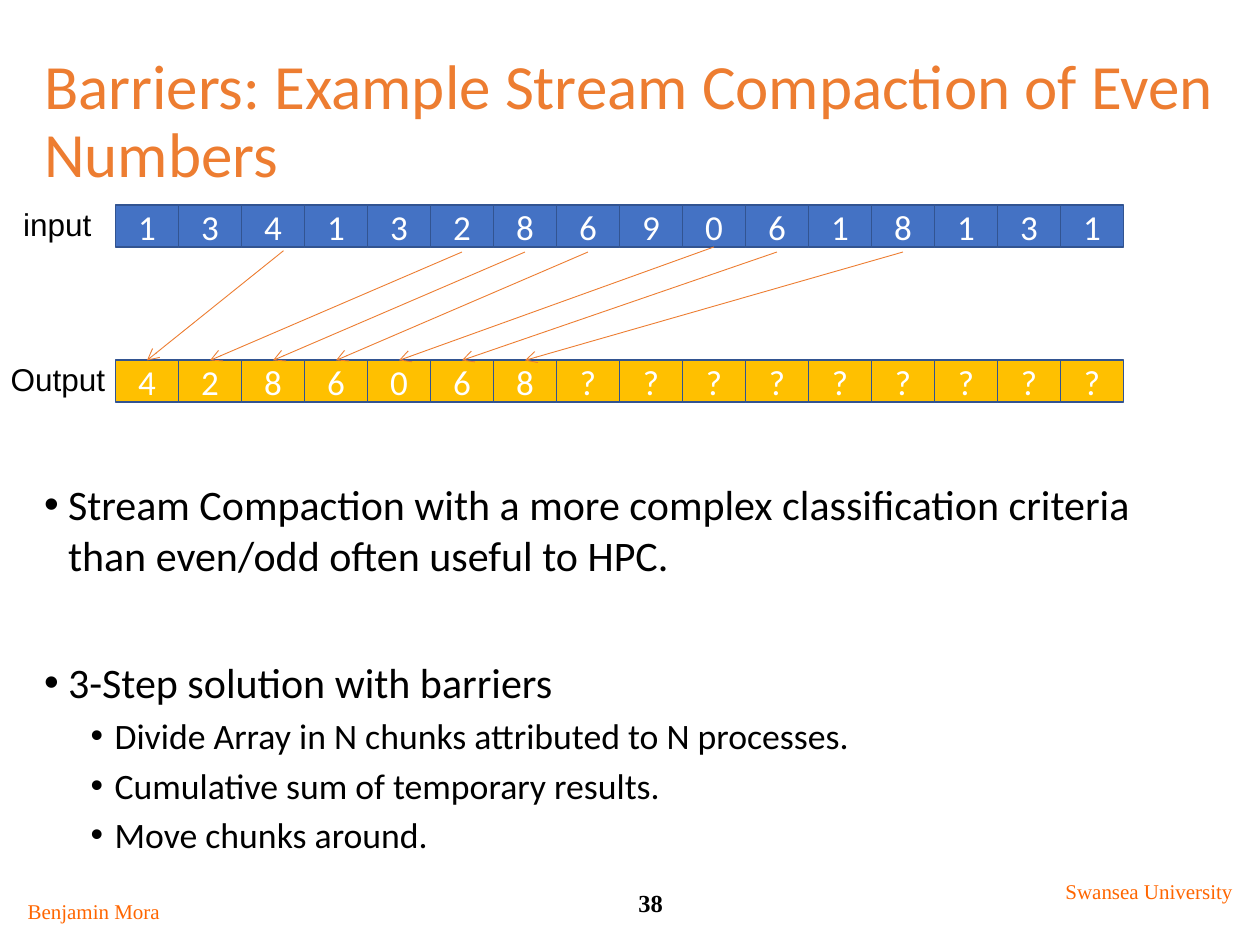
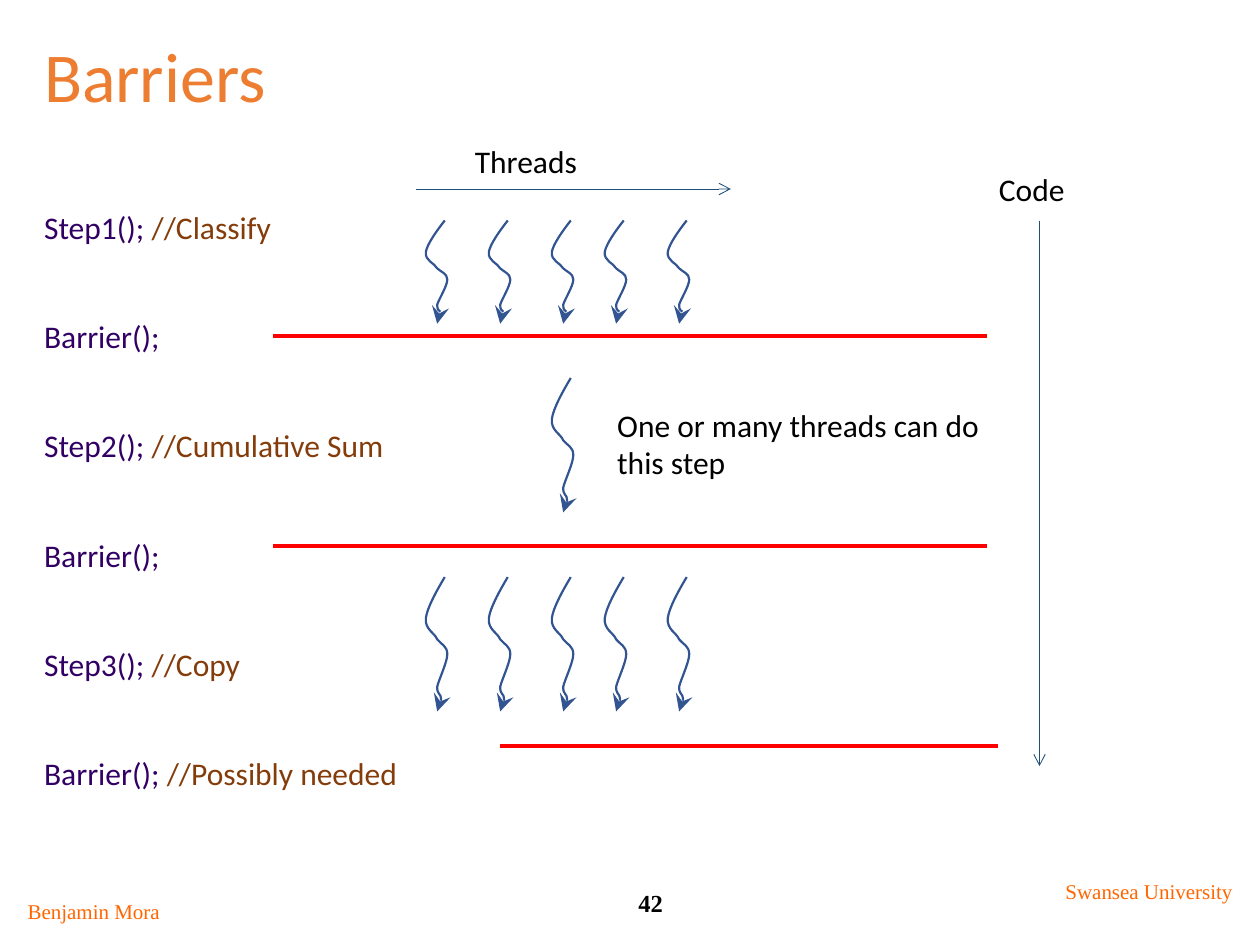
"""Build two slides on thread barriers: stream compaction and its three steps."""
from lxml.etree import SubElement
from pptx import Presentation
from pptx.dml.color import RGBColor
from pptx.enum.shapes import MSO_CONNECTOR, MSO_SHAPE
from pptx.enum.text import MSO_ANCHOR, MSO_AUTO_SIZE, PP_ALIGN
from pptx.oxml.ns import qn
from pptx.util import Inches, Pt

BLACK, WHITE = "000000", "FFFFFF"
ORANGE, FOOTER_ORANGE = "ED7D31", "FF6600"
BLUE, DARK_BLUE, NAVY = "4472C4", "325491", "1F4E79"
GOLD, RED = "FFC000", "FF0000"
CODE_PURPLE, COMMENT_BROWN = "320064", "843C0B"
SANS, SERIF, LABEL = "Calibri", "Times New Roman", "Arial"

INPUT = [1, 3, 4, 1, 3, 2, 8, 6, 9, 0, 6, 1, 8, 1, 3, 1]
CELL_LEFT, CELL_WIDTH, CELL_HEIGHT = 11 / 12, 0.5, 0.33
INPUT_TOP, OUTPUT_TOP = 1.63, 2.86

BULLETS = [
    (0, "Stream Compaction with a more complex classification criteria "
        "than even/odd often useful to HPC.", 7.5),
    (0, "3-Step solution with barriers", 44.2),
    (1, "Divide Array in N chunks attributed to N processes.", 3.75),
    (1, "Cumulative sum of temporary results.", 3.75),
    (1, "Move chunks around.", 3.75),
]
CODE = [
    ("Step1(); ", "//Classify"),
    ("Barrier();", ""),
    ("Step2(); ", "//Cumulative Sum"),
    ("Barrier();", ""),
    ("Step3(); ", "//Copy"),
    ("Barrier(); ", "//Possibly needed"),
]

THREAD_XS = [3.53, 4.03, 4.53, 4.95, 5.45]
WAVE_HEIGHT = 0.83
WAVE = [
    (-0.07, 0.09), (-0.14, 0.19), (-0.15, 0.25),
    (-0.16, 0.32), (-0.08, 0.34), (-0.06, 0.38),
    (-0.03, 0.41), (0.02, 0.42), (0.02, 0.47),
    (0.02, 0.52), (-0.05, 0.63), (-0.06, 0.67),
    (-0.06, 0.72), (-0.03, 0.71), (-0.03, 0.74),
    (-0.03, 0.76), (-0.07, 0.87), (-0.06, 0.82),
]


def rgb(color):
    return RGBColor.from_string(color)


def style_runs(paragraph, size, color, font=SANS, bold=False):
    for run in paragraph.runs:
        run.font.size = Pt(size)
        run.font.name = font
        run.font.bold = bold
        run.font.color.rgb = rgb(color)


def place(shape, left, top, width, height):
    shape.left, shape.top = Inches(left), Inches(top)
    shape.width, shape.height = Inches(width), Inches(height)


def style_line(shape, color, width, arrow=None, arrow_size="med"):
    shape.line.color.rgb = rgb(color)
    shape.line.width = Pt(width)
    if arrow:
        outline = shape.element.spPr.find(qn("a:ln"))
        SubElement(outline, qn("a:tailEnd"), type=arrow,
                   w=arrow_size, len=arrow_size)


def set_bullet(paragraph, margin=0, indent=0, char=None):
    properties = paragraph._p.get_or_add_pPr()
    properties.set("marL", str(Inches(margin)))
    properties.set("indent", str(Inches(indent)))
    if char:
        SubElement(properties, qn("a:buChar"), char=char)
    else:
        SubElement(properties, qn("a:buNone"))


def add_label(slide, box, text, size=18, color=BLACK, font=SANS,
              align=PP_ALIGN.LEFT, bold=False):
    label = slide.shapes.add_textbox(*map(Inches, box))
    frame = label.text_frame
    frame.word_wrap = True
    frame.auto_size = MSO_AUTO_SIZE.SHAPE_TO_FIT_TEXT
    frame.text = text
    frame.paragraphs[0].alignment = align
    style_runs(frame.paragraphs[0], size, color, font, bold)


def add_line(slide, start, end, color, width, arrow=None):
    line = slide.shapes.add_connector(
        MSO_CONNECTOR.STRAIGHT, *map(Inches, start + end))
    style_line(line, color, width, arrow)
    SubElement(line.element.spPr, qn("a:effectLst"))
    return line


def add_footer(slide, number):
    center = PP_ALIGN.CENTER
    add_label(slide, (4.5, 7, 1.33, 0.33), number, 14, BLACK, SERIF, center, True)
    add_label(slide, (0.08, 7.08, 1.33, 0.3), "Benjamin Mora",
              12, FOOTER_ORANGE, SERIF, center)
    add_label(slide, (8.33, 6.92, 1.58, 0.3), "Swansea University",
              12, FOOTER_ORANGE, SERIF, center)


def add_titled_slide(deck, title, size, title_height, body_top, number):
    slide = deck.slides.add_slide(deck.slide_layouts[1])
    heading, body = slide.shapes.title, slide.placeholders[1]
    place(heading, 0.25, 0.17, 9.5, title_height)
    place(body, 0.25, body_top, 9.5, 6.92 - body_top)
    for placeholder in (heading, body):
        placeholder.text_frame.auto_size = MSO_AUTO_SIZE.NONE
    heading.text_frame.text = title
    heading.text_frame.vertical_anchor = MSO_ANCHOR.MIDDLE
    paragraph = heading.text_frame.paragraphs[0]
    paragraph.alignment = PP_ALIGN.LEFT
    paragraph.line_spacing = 0.9
    style_runs(paragraph, size, ORANGE)
    add_footer(slide, number)
    return slide


def body_paragraphs(slide, count):
    frame = slide.placeholders[1].text_frame
    for _ in range(count - 1):
        frame.add_paragraph()
    return frame.paragraphs


def add_cells(slide, values, top, fill):
    cells = []
    for index, value in enumerate(values):
        left = CELL_LEFT + index * CELL_WIDTH
        cell = slide.shapes.add_shape(
            MSO_SHAPE.RECTANGLE,
            *map(Inches, (left, top, CELL_WIDTH, CELL_HEIGHT)))
        cell.shadow.inherit = False
        cell.fill.solid()
        cell.fill.fore_color.rgb = rgb(fill)
        style_line(cell, DARK_BLUE, 1)
        cell.text_frame.text = str(value)
        cell.text_frame.vertical_anchor = MSO_ANCHOR.MIDDLE
        cell.text_frame.paragraphs[0].alignment = PP_ALIGN.CENTER
        style_runs(cell.text_frame.paragraphs[0], 20, WHITE)
        cells.append(cell)
    return cells


def cell_center(index):
    return CELL_LEFT + (index + 0.5) * CELL_WIDTH


def round_corners(outline):
    segments = outline.findall(qn("a:lnTo"))
    for first in range(0, len(segments), 3):
        curve = SubElement(outline, qn("a:cubicBezTo"))
        for segment in segments[first:first + 3]:
            curve.append(segment[0])
            outline.remove(segment)


def add_thread(slide, x, top, height):
    stretch = height / WAVE_HEIGHT
    builder = slide.shapes.build_freeform(Inches(x), Inches(top))
    builder.add_line_segments(
        [(Inches(x + dx), Inches(top + dy * stretch)) for dx, dy in WAVE],
        close=False)
    thread = builder.convert_to_shape()
    outline = next(thread.element.iter(qn("a:path")))
    round_corners(outline)
    thread.height = Inches(height)
    outline.set("h", str(Inches(height)))
    thread.shadow.inherit = False
    thread.fill.background()
    style_line(thread, DARK_BLUE, 1.25, "stealth", "lg")


def build_compaction(deck):
    slide = add_titled_slide(
        deck, "Barriers: Example Stream Compaction of Even Numbers",
        36, 1.08, 3.75, "38")
    slide.shapes.title.text_frame.margin_top = Inches(0.59)
    paragraphs = body_paragraphs(slide, len(BULLETS))
    for paragraph, (level, text, gap) in zip(paragraphs, BULLETS):
        paragraph.text = text
        paragraph.level = level
        paragraph.space_before = Pt(gap)
        set_bullet(paragraph, (0.19, 0.56)[level], -0.19, "•")
        style_runs(paragraph, (24, 20.4)[level], BLACK)

    evens = [index for index, value in enumerate(INPUT) if value % 2 == 0]
    kept = [INPUT[index] for index in evens]
    unknown = ["?"] * (len(INPUT) - len(kept))
    sources = add_cells(slide, INPUT, INPUT_TOP, BLUE)
    targets = add_cells(slide, kept + unknown, OUTPUT_TOP, GOLD)
    add_label(slide, (0.08, 1.58, 0.75, 0.4), "input",
              font=LABEL, align=PP_ALIGN.CENTER)
    add_label(slide, (-0.08, 2.81, 1.08, 0.4), "Output",
              font=LABEL, align=PP_ALIGN.CENTER)
    for slot, index in enumerate(evens):
        start = (2.25, 1.99) if slot == 0 else (cell_center(index), 2)
        move = add_line(slide, start, (cell_center(slot), OUTPUT_TOP),
                        ORANGE, 0.5, "arrow")
        if INPUT[index] == 0:
            move.begin_connect(sources[index], 2)
        move.end_connect(targets[slot], 0)


def build_steps(deck):
    slide = add_titled_slide(deck, "Barriers", 40, 0.92, 1.17, "42")
    slide.placeholders[1].text_frame.margin_top = Inches(0.45)
    paragraphs = body_paragraphs(slide, len(CODE))
    for row, (paragraph, parts) in enumerate(zip(paragraphs, CODE)):
        paragraph.line_spacing = 1.1
        paragraph.space_before = Pt(38.7 if row else 0)
        set_bullet(paragraph)
        call, comment = parts
        paragraph.text = call
        style_runs(paragraph, 18, CODE_PURPLE)
        if comment:
            remark = paragraph.add_run()
            remark.text = comment
            remark.font.size, remark.font.name = Pt(18), SANS
            remark.font.color.rgb = rgb(COMMENT_BROWN)

    for xs, top, height in ((THREAD_XS, 1.75, 0.83), ([4.53], 3, 1.08),
                            (THREAD_XS, 4.58, 1.08)):
        for x in xs:
            add_thread(slide, x, top, height)
    for left, right, y in ((2.17, 7.83, 2.67), (2.17, 7.83, 4.33),
                           (3.97, 7.92, 5.92)):
        add_line(slide, (left, y), (right, y), RED, 2.25)
    add_line(slide, (3.3, 1.5), (5.8, 1.5), NAVY, 0.5, "arrow")
    add_line(slide, (8.25, 1.75), (8.25, 6.08), NAVY, 0.5, "arrow")
    add_label(slide, (3.67, 1.08, 3.58, 0.4), "Threads")
    add_label(slide, (7.83, 1.3, 1.08, 0.4), "Code")
    add_label(slide, (4.8, 3.17, 3.28, 0.71), "One or many threads can do this step")


def main():
    deck = Presentation()
    deck.slide_width, deck.slide_height = Inches(10), Inches(7.5)
    build_compaction(deck)
    build_steps(deck)
    deck.save("out.pptx")


if __name__ == "__main__":
    main()
